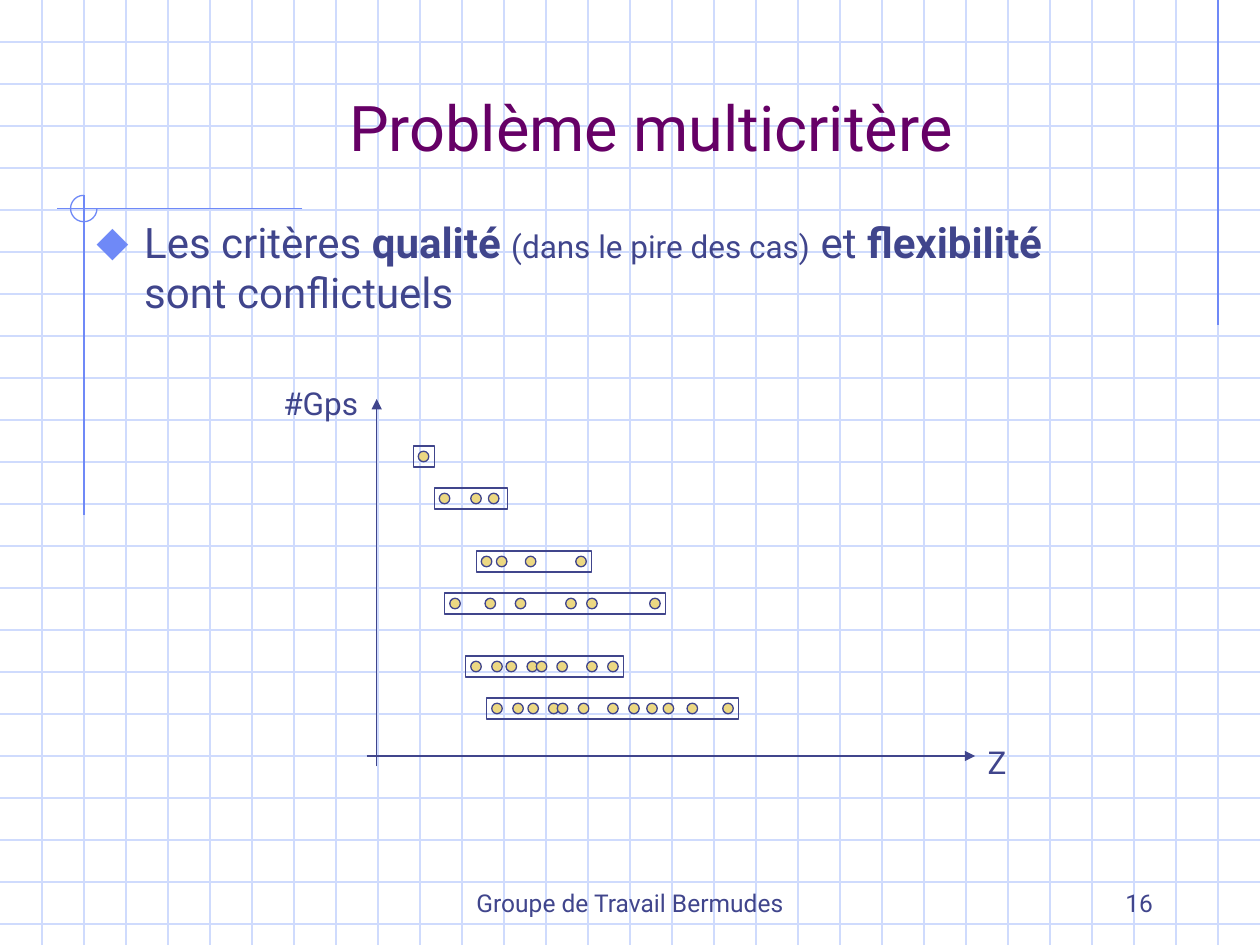
from lxml.etree import SubElement
from pptx import Presentation
from pptx.dml.color import RGBColor
from pptx.enum.shapes import MSO_CONNECTOR, MSO_SHAPE
from pptx.enum.text import MSO_ANCHOR, PP_ALIGN
from pptx.oxml.ns import qn
from pptx.util import Inches, Pt

GRID_BLUE = RGBColor(0xCF, 0xDB, 0xFD)
ACCENT = RGBColor(0x6F, 0x89, 0xF7)
INK = RGBColor(0x40, 0x45, 0x8C)
PURPLE = RGBColor(0x66, 0x00, 0x66)
GOLD = RGBColor(0xEC, 0xD8, 0x82)

# The page is squared paper: 30 columns by 22.5 rows, three cells to the inch
COLUMNS, ROWS = 30, 22.5
DOT, BAR = 0.25, 0.5

# Solution groups: left, top, width, then dot offsets from the left of the bar
GROUPS = [
    (9.84, 10.62, 0.5, [0.12]),
    (10.34, 11.62, 1.75, [0.12, 0.87, 1.29]),
    (11.34, 13.12, 2.75, [0.12, 0.48, 1.17, 2.37]),
    (10.59, 14.12, 5.25, [0.12, 0.96, 1.68, 2.88, 3.38, 4.88]),
    (11.09, 15.62, 3.75, [0.12, 0.62, 0.96, 1.46, 1.68, 2.17, 2.88, 3.38]),
    (11.59, 16.62, 6, [0.12, 0.62, 0.98, 1.47, 1.68, 2.18, 2.88, 3.38,
                       3.81, 4.2, 4.77, 5.62]),
]


class SquaredPage:
    """Draws elements on one slide; all lengths are grid cells."""

    font = "Roboto"
    stroke = Pt(0.75)

    def __init__(self, page):
        self.page = page

    def cells(self, *lengths):
        return [Inches(length / 3) for length in lengths]

    def line(self, x1, y1, x2, y2, color, arrow=False):
        line = self.page.shapes.add_connector(
            MSO_CONNECTOR.STRAIGHT, *self.cells(x1, y1, x2, y2))
        line.line.color.rgb = color
        line.line.width = self.stroke
        if arrow:
            SubElement(line.line._get_or_add_ln(), qn("a:tailEnd"), type="triangle")
        SubElement(line._element.spPr, qn("a:effectLst"))

    def shape(self, kind, left, top, width, height, color, fill=None):
        shape = self.page.shapes.add_shape(
            kind, *self.cells(left, top, width, height))
        shape.shadow.inherit = False
        shape.line.color.rgb = color
        shape.line.width = self.stroke
        if fill is None:
            shape.fill.background()
        else:
            shape.fill.solid()
            shape.fill.fore_color.rgb = fill
        return shape

    def text(self, left, top, width, height, spans, color=INK,
             align=PP_ALIGN.LEFT, anchor=MSO_ANCHOR.TOP, wrap=True):
        """Each span is (text, size, bold); a None span breaks the line."""
        box = self.page.shapes.add_textbox(*self.cells(left, top, width, height))
        frame = box.text_frame
        frame.word_wrap = wrap
        frame.vertical_anchor = anchor
        para = frame.paragraphs[0]
        para.alignment = align
        for part in spans:
            if part is None:
                para.add_line_break()
                continue
            span = para.add_run()
            span.text, size, span.font.bold = part
            span.font.size = Pt(size)
            span.font.name = self.font
            span.font.color.rgb = color
        return para

    def bullet(self, para, char, color, percent):
        props = para._p.get_or_add_pPr()
        props.set("marL", str(Inches(0.38)))
        props.set("indent", str(-Inches(0.38)))
        tint = SubElement(props, qn("a:buClr"))
        SubElement(tint, qn("a:srgbClr"), val=str(color))
        SubElement(props, qn("a:buSzPct"), val=str(percent * 1000))
        SubElement(props, qn("a:buFont"), typeface=self.font)
        SubElement(props, qn("a:buChar"), char=char)


def main():
    deck = Presentation()
    deck.slide_width, deck.slide_height = Inches(10), Inches(7.5)
    page = SquaredPage(deck.slides.add_slide(deck.slide_layouts[6]))

    # Squared paper
    for row in range(1, 23):
        page.line(0, row, COLUMNS, row, GRID_BLUE)
    for column in range(1, COLUMNS):
        page.line(column, 0, column, ROWS, GRID_BLUE)

    # Accent rules and three-quarter circle
    page.line(29, 0, 29, 7.75, ACCENT)
    page.line(7.2, 4.97, 1.35, 4.97, ACCENT)
    page.line(2, 4.65, 2, 12.27, ACCENT)
    arc = page.shape(MSO_SHAPE.ARC, 1.68, 4.65, 0.63, 0.63, ACCENT)
    arc.adjustments[0], arc.adjustments[1] = 0, 162  # 0° to 270°

    # Title and statement
    page.text(2, 1, 27, 4, [("Problème multicritère", 36, False)], PURPLE,
              PP_ALIGN.CENTER, MSO_ANCHOR.MIDDLE)
    statement = page.text(2, 5, 27, 14.75, [
        ("Les critères ", 24, False),
        ("qualité ", 24, True),
        ("(dans le pire des cas)", 18, False),
        (" et ", 24, False),
        ("flexibilité", 24, True),
        None,
        ("sont conflictuels", 24, False),
    ])
    page.bullet(statement, "⬥", ACCENT, 110)

    # Axes
    page.line(8.97, 18.25, 8.97, 9.5, INK, arrow=True)
    page.line(8.73, 18, 23.22, 18, INK, arrow=True)
    page.text(6.45, 9, 2.43, 1.2, [("#Gps", 18, False)], wrap=False)
    page.text(23.22, 17.55, 1.02, 1.2, [("Z", 18, False)], wrap=False)

    # Groups of solutions
    for left, top, width, offsets in GROUPS:
        for offset in offsets:
            page.shape(MSO_SHAPE.OVAL, left + offset, top + (BAR - DOT) / 2,
                       DOT, DOT, INK, GOLD)
        page.shape(MSO_SHAPE.RECTANGLE, left, top, width, BAR, INK)

    # Footer
    page.text(10.25, 20.5, 9.5, 1.5, [("Groupe de Travail Bermudes", 14, False)],
              align=PP_ALIGN.CENTER, anchor=MSO_ANCHOR.BOTTOM)
    page.text(21.5, 20.5, 6.25, 1.5, [("16", 14, False)],
              align=PP_ALIGN.RIGHT, anchor=MSO_ANCHOR.BOTTOM)

    deck.save("out.pptx")


if __name__ == "__main__":
    main()
